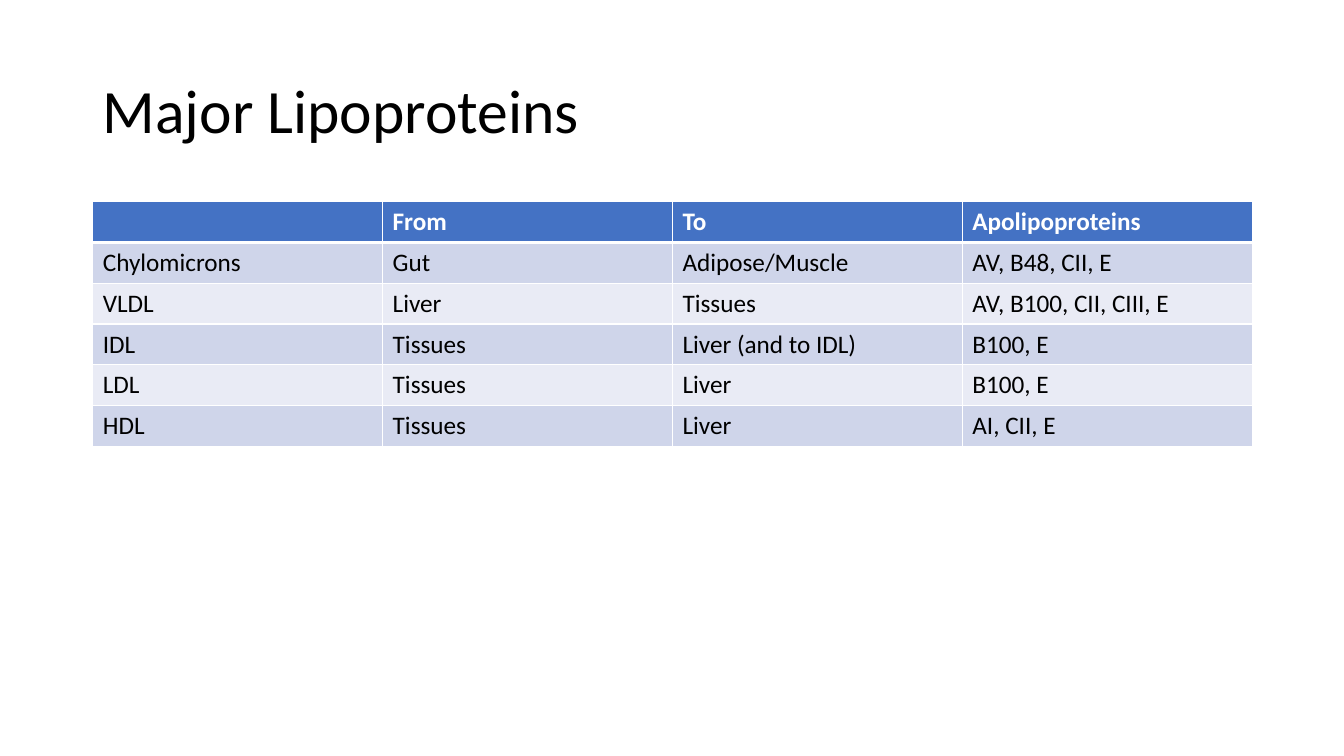
from dataclasses import dataclass, astuple

from lxml.etree import SubElement
from pptx import Presentation
from pptx.dml.color import RGBColor
from pptx.enum.text import MSO_ANCHOR
from pptx.oxml.ns import qn
from pptx.slide import Slide
from pptx.table import _Cell
from pptx.text.text import _Paragraph
from pptx.util import Inches, Pt

FONT = "Calibri"
BLACK, WHITE = "000000", "FFFFFF"
HEADER_FILL = "4472C4"
BAND_FILLS = ("CFD5EA", "E9EBF5")
LEFT, WIDTH = 0.92, 11.5
TABLE_TOP, ROW_HEIGHT = 2, 0.405
THIN, THICK = 1, 3


@dataclass
class Lipoprotein:
    name: str
    origin: str
    destination: str
    apolipoproteins: str


HEADER = Lipoprotein("", "From", "To", "Apolipoproteins")
LIPOPROTEINS = [
    Lipoprotein("Chylomicrons", "Gut", "Adipose/Muscle", "AV, B48, CII, E"),
    Lipoprotein("VLDL", "Liver", "Tissues", "AV, B100, CII, CIII, E"),
    Lipoprotein("IDL", "Tissues", "Liver (and to IDL)", "B100, E"),
    Lipoprotein("LDL", "Tissues", "Liver", "B100, E"),
    Lipoprotein("HDL", "Tissues", "Liver", "AI, CII, E"),
]


def color(code: str) -> RGBColor:
    return RGBColor.from_string(code)


def add_run(paragraph: _Paragraph, text: str, size: float, code: str, bold: bool = False) -> None:
    run = paragraph.add_run()
    run.text = text
    run.font.name = FONT
    run.font.size = Pt(size)
    run.font.bold = bold
    run.font.color.rgb = color(code)


def add_borders(cell: _Cell, top: float, bottom: float) -> None:
    """Draw white cell borders; call before the fill, which must follow them in the XML."""
    properties = cell._tc.get_or_add_tcPr()
    for side, points in (("L", THIN), ("R", THIN), ("T", top), ("B", bottom)):
        line = SubElement(properties, qn(f"a:ln{side}"), w=str(Pt(points)))
        SubElement(SubElement(line, qn("a:solidFill")), qn("a:srgbClr"), val=WHITE)


def add_title(slide: Slide, text: str) -> None:
    title = slide.shapes.add_textbox(Inches(LEFT), Inches(0.4), Inches(WIDTH), Inches(1.45))
    frame = title.text_frame
    frame.word_wrap = True
    frame.vertical_anchor = MSO_ANCHOR.MIDDLE
    frame.paragraphs[0].line_spacing = 0.9
    add_run(frame.paragraphs[0], text, 44, BLACK)


def add_lipoprotein_table(slide: Slide) -> None:
    rows = [astuple(entry) for entry in (HEADER, *LIPOPROTEINS)]
    table = slide.shapes.add_table(
        len(rows), len(HEADER_CELLS), Inches(LEFT), Inches(TABLE_TOP),
        Inches(WIDTH), Inches(ROW_HEIGHT * len(rows)),
    ).table
    for row_index, row in enumerate(rows):
        is_header = row_index == 0
        for column_index, text in enumerate(row):
            cell = table.cell(row_index, column_index)
            add_borders(cell, THICK if row_index == 1 else THIN, THICK if is_header else THIN)
            cell.fill.solid()
            fill = HEADER_FILL if is_header else BAND_FILLS[(row_index - 1) % 2]
            cell.fill.fore_color.rgb = color(fill)
            if text:
                add_run(cell.text_frame.paragraphs[0], text, 18,
                        WHITE if is_header else BLACK, bold=is_header)


HEADER_CELLS = astuple(HEADER)


def main() -> None:
    presentation = Presentation()
    presentation.slide_width = Inches(13.33)
    presentation.slide_height = Inches(7.5)
    slide = presentation.slides.add_slide(presentation.slide_layouts[6])
    add_title(slide, "Major Lipoproteins")
    add_lipoprotein_table(slide)
    presentation.save("out.pptx")


if __name__ == "__main__":
    main()
